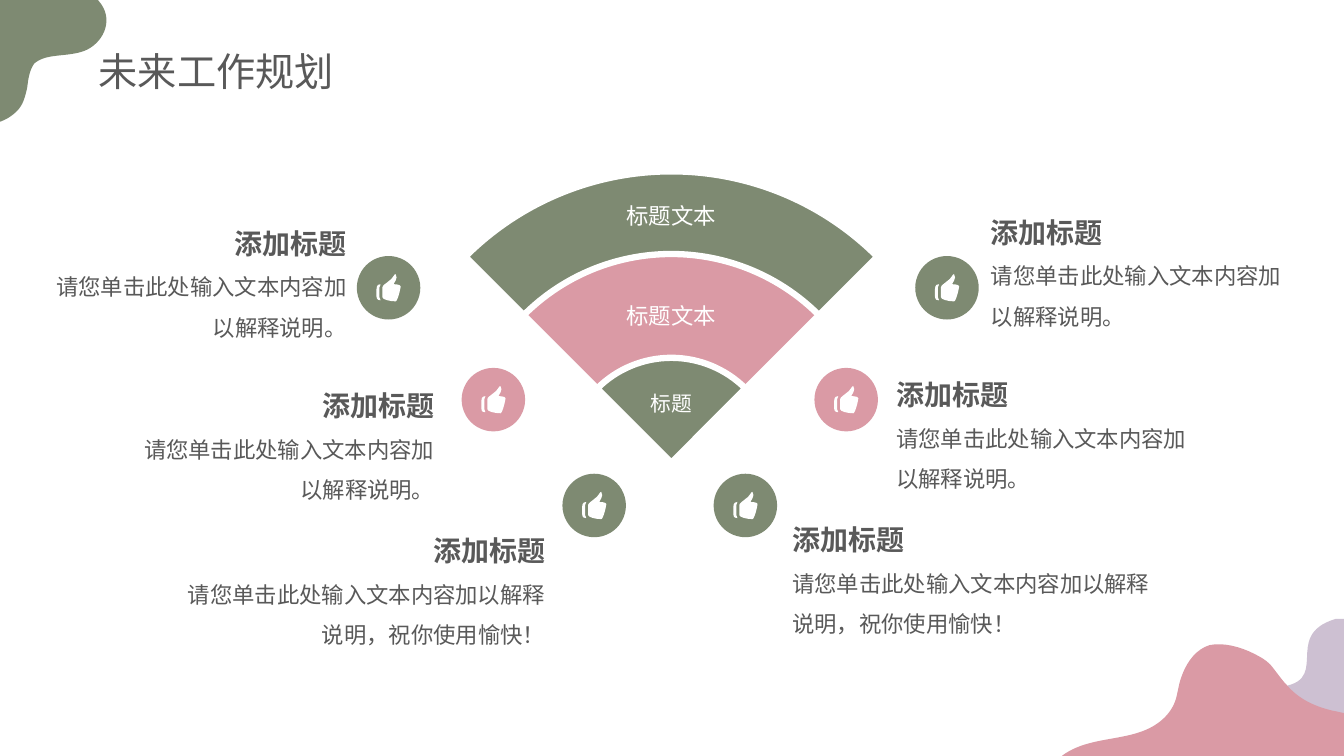
import math
from dataclasses import dataclass

from pptx import Presentation
from pptx.dml.color import RGBColor
from pptx.enum.shapes import MSO_SHAPE
from pptx.enum.text import MSO_ANCHOR, MSO_AUTO_SIZE, PP_ALIGN
from pptx.oxml.ns import qn
from pptx.util import Inches, Pt

OVAL = MSO_SHAPE.OVAL
TOP, MIDDLE = MSO_ANCHOR.TOP, MSO_ANCHOR.MIDDLE
LEFT, CENTER, RIGHT = PP_ALIGN.LEFT, PP_ALIGN.CENTER, PP_ALIGN.RIGHT
NO_AUTOSIZE = MSO_AUTO_SIZE.NONE

CELL = Inches(0.1)
COLUMNS, ROWS = 133.33, 75


@dataclass(frozen=True)
class Theme:
    font: str = "Arial"
    text: str = "595959"
    white: str = "FFFFFF"
    green: str = "7E8A72"
    pink: str = "DA9AA5"
    lilac: str = "CDC0D2"
    title_size: float = 28
    heading_size: float = 20
    body_size: float = 16
    tip_size: float = 14.8
    gap_width: float = 4.5


THEME = Theme()

GREEN_BLOB = [(5.9, 5.5),
    (5, 5.6, 4.1, 5.7, 3.4, 6.3), (2.9, 7, 2.8, 7.9, 2.7, 8.7),
    (2.5, 9.6, 2.3, 10.4, 1.7, 11), (1.1, 11.6, 0.4, 12, -0.4, 12.2),
    (-0.8, 12.2, -1.3, 12.3, -1.7, 12.2), (-1.9, 12.1, -2, 12, -2.3, 11.7),
    (-4, 10.9, -5.4, 9.4, -6.2, 7.7), (-6.6, 6.8, -6.9, 5.9, -6.9, 5),
    (-6.8, 4, -6.4, 3.2, -5.6, 2.7), (-4.9, 2.2, -4, 1.9, -3.6, 1),
    (-3.3, 0.1, -3.3, -0.9, -3.1, -1.8), (-2.8, -2.6, -2.3, -3.4, -1.4, -3.6),
    (-0.6, -3.8, 0.3, -3.6, 1, -3.1), (1.8, -2.6, 2.4, -1.8, 3.2, -1.2),
    (3.9, -0.7, 4.6, -0.5, 5.4, -0.7), (6.9, -0.9, 8.5, -1.4, 9.8, 0.1),
    (11.3, 1.8, 10.4, 4, 8.7, 4.9), (7.9, 5.3, 6.9, 5.4, 5.9, 5.5)]
LILAC_BLOB = [(134.5, 75.5), (120.1, 75.5), (120.3, 75.5),
    (124, 74.6, 120.3, 68.7, 126.3, 68.2),
    (132.6, 67.9, 126.9, 63.1, 132.5, 61.4), (134.5, 61.4)]
PINK_BLOB = [(103.3, 81.3),
    (102.5, 78.7, 103.7, 75.8, 106.1, 74.5), (109, 72.9, 112.8, 73.6, 115.3, 71.4),
    (116, 70.8, 116.5, 70, 116.7, 69.2), (116.9, 68.4, 117, 67.6, 117.3, 66.9),
    (117.8, 65.6, 118.7, 64.4, 120, 64), (121.4, 63.7, 123.1, 64.2, 124.3, 64.8),
    (124.9, 65.1, 125.5, 65.4, 126, 65.9), (126.6, 66.6, 127.1, 67.4, 127.7, 68),
    (128.9, 69.4, 130.5, 70.1, 132.2, 70.5), (133.7, 70.8, 135.1, 71.1, 136.2, 72.1),
    (137.2, 73.1, 137.8, 74.4, 137.7, 75.9), (137.6, 77.1, 137, 78.3, 135.9, 78.9),
    (134.6, 79.6, 133, 79.5, 131.7, 79.2), (130.1, 78.9, 128.5, 78.3, 126.8, 78.6),
    (125, 78.8, 123.7, 79.8, 122.4, 81), (121.2, 82.1, 120, 83.2, 118.4, 83.3),
    (116.9, 83.4, 115.7, 82.8, 114.6, 81.9), (113.4, 80.8, 112.2, 79.8, 110.5, 79.8),
    (109.7, 79.8, 108.9, 80, 108.3, 80.4), (107.8, 80.7, 107.4, 81, 107.2, 81.5),
    (107.1, 81.8, 107.1, 82.2, 106.9, 82.5), (106.5, 83.5, 105.1, 83.6, 104.3, 83),
    (103.8, 82.6, 103.5, 82, 103.3, 81.3)]
THUMB_SIZE = (2.4, 2.7)
THUMB_CUFF = [(0.4, 1), (0.3, 1, 0, 1, 0, 1.5), (0, 2.2),
    (0, 2.6, 0.3, 2.6, 0.4, 2.6), (0.5, 2.6, 0.3, 2.5, 0.3, 2.3),
    (0.3, 1.3), (0.3, 1.1, 0.5, 1, 0.4, 1)]
THUMB_HAND = [(1.7, 1), (1.7, 0.9, 2.2, 0.4, 1.9, 0),
    (1.8, -0.1, 1.6, 0.5, 1.2, 0.7), (1, 0.9, 0.6, 1.1, 0.6, 1.3), (0.6, 2.3),
    (0.6, 2.5, 1.3, 2.7, 1.9, 2.7), (2.1, 2.7, 2.4, 1.4, 2.4, 1.2),
    (2.4, 1, 1.7, 1, 1.7, 1)]

FAN_TIP = (66.6, 45.9)
FAN_BANDS = [
    (28.9, THEME.green, "标题文本", 21.4, THEME.body_size, 1),
    (20.7, THEME.pink, "标题文本", 31.3, THEME.body_size, 1),
    (10.4, THEME.green, "标题", 40.2, THEME.tip_size, 0.8),
]
LABEL_SIZE = (16.7, 3.2)

HEADING = "添加标题"
SHORT_NOTE = "请您单击此处输入文本内容加以解释说明。"
LONG_NOTE = "请您单击此处输入文本内容加以解释说明，祝你使用愉快！"
BADGE_SIZE = 6.3
NOTE_HEIGHT = 12.7
LEFT_DROP = 1.1
NOTE_LEVELS = [
    (28.55, 19.7, THEME.green, SHORT_NOTE, (38.55, 34.4, 28.95), (93.95, 98.3, 30.8)),
    (39.65, 35.8, THEME.pink, SHORT_NOTE, (48.95, 43.1, 28.95), (83.95, 88.9, 30.8)),
    (50.15, 50.2, THEME.green, LONG_NOTE, (58.95, 54.1, 36.4), (73.95, 78.6, 37)),
]


def cells(count):
    return round(count * CELL)


def paint(shape, color, line_width=0):
    shape.shadow.inherit = False
    shape.fill.solid()
    shape.fill.fore_color.rgb = RGBColor.from_string(color)
    if line_width:
        shape.line.color.rgb = RGBColor.from_string(THEME.white)
        shape.line.width = Pt(line_width)
    else:
        shape.line.fill.background()


def bend_segments(shape, outlines):
    lines = iter(list(shape.element.iter(qn("a:lnTo"))))
    for outline in outlines:
        for segment in outline[1:]:
            first, *others = [next(lines) for _ in range(len(segment) // 2)]
            if others:
                first.tag = qn("a:cubicBezTo")
            for other in others:
                first.append(other[0])
                other.getparent().remove(other)


def add_outline(slide, outlines, color, origin=(0, 0), line_width=0):
    builder = None
    for outline in outlines:
        points = [(cells(origin[0] + x), cells(origin[1] + y))
                  for segment in outline for x, y in zip(segment[::2], segment[1::2])]
        if builder is None:
            builder = slide.shapes.build_freeform(*points[0])
        else:
            builder.move_to(*points[0])
        builder.add_line_segments(points[1:], close=True)
    shape = builder.convert_to_shape()
    bend_segments(shape, outlines)
    paint(shape, color, line_width)


def add_run(paragraph, text, size, color, bold=False):
    run = paragraph.add_run()
    run.text = text
    run.font.name = THEME.font
    run.font.size = Pt(size)
    run.font.bold = bold
    run.font.color.rgb = RGBColor.from_string(color)


def add_text(slide, left, top, width, height, lines, color, align, spacing, anchor=TOP):
    box = slide.shapes.add_textbox(cells(left), cells(top), cells(width), cells(height))
    frame = box.text_frame
    frame.word_wrap = True
    frame.vertical_anchor = anchor
    frame.margin_left = frame.margin_right = frame.margin_top = frame.margin_bottom = 0
    for index, (text, size, bold) in enumerate(lines):
        paragraph = frame.add_paragraph() if index else frame.paragraphs[0]
        paragraph.alignment = align
        paragraph.line_spacing = spacing
        add_run(paragraph, text, size, color, bold)


def add_title(slide, text):
    title = slide.shapes.title
    title.left, title.top, title.width, title.height = map(cells, (8.8, 4.2, 30.3, 5.7))
    frame = title.text_frame
    frame.auto_size = NO_AUTOSIZE
    frame.vertical_anchor = TOP
    paragraph = frame.paragraphs[0]
    paragraph.alignment = LEFT
    add_run(paragraph, text, THEME.title_size, THEME.text)


def add_fan(slide):
    tip_x, tip_y = FAN_TIP
    for radius, color, *_ in FAN_BANDS:
        reach = radius * math.sqrt(0.5)
        handle = radius * 4 / 3 * math.tan(math.pi / 16)
        slant = handle * math.sqrt(0.5)
        top, shoulder = tip_y - radius, tip_y - reach
        wedge = [
            FAN_TIP,
            (tip_x - reach, shoulder),
            (tip_x - reach + slant, shoulder - slant, tip_x - handle, top, tip_x, top),
            (tip_x + handle, top, tip_x + reach - slant, shoulder - slant,
             tip_x + reach, shoulder),
        ]
        add_outline(slide, [wedge], color, line_width=THEME.gap_width)
    width, height = LABEL_SIZE
    for _, _, label, middle, size, spacing in FAN_BANDS:
        add_text(slide, tip_x - width / 2, middle - height / 2, width, height,
                 [(label, size, False)], THEME.white, CENTER, spacing, MIDDLE)


def add_badge(slide, x, y, color):
    corner = [cells(center - BADGE_SIZE / 2) for center in (x, y)]
    paint(slide.shapes.add_shape(OVAL, *corner, cells(BADGE_SIZE), cells(BADGE_SIZE)), color)
    origin = (x - THUMB_SIZE[0] / 2, y - THUMB_SIZE[1] / 2)
    add_outline(slide, [THUMB_CUFF, THUMB_HAND], THEME.white, origin)


def add_note(slide, left, top, width, body, align):
    lines = [(HEADING, THEME.heading_size, True), (body, THEME.body_size, False)]
    add_text(slide, left, top, width, NOTE_HEIGHT, lines, THEME.text, align, 1.5)


def main():
    presentation = Presentation()
    presentation.slide_width = cells(COLUMNS)
    presentation.slide_height = cells(ROWS)
    slide = presentation.slides.add_slide(presentation.slide_layouts[5])
    for blob, color in ((GREEN_BLOB, THEME.green), (LILAC_BLOB, THEME.lilac),
                        (PINK_BLOB, THEME.pink)):
        add_outline(slide, [blob], color)
    add_title(slide, "未来工作规划")
    add_fan(slide)
    for badge_y, top, color, body, left_side, right_side in NOTE_LEVELS:
        badge_x, edge, width = left_side
        add_badge(slide, badge_x, badge_y, color)
        add_note(slide, edge - width, top + LEFT_DROP, width, body, RIGHT)
        badge_x, edge, width = right_side
        add_badge(slide, badge_x, badge_y, color)
        add_note(slide, edge, top, width, body, LEFT)
    presentation.save("out.pptx")


if __name__ == "__main__":
    main()
